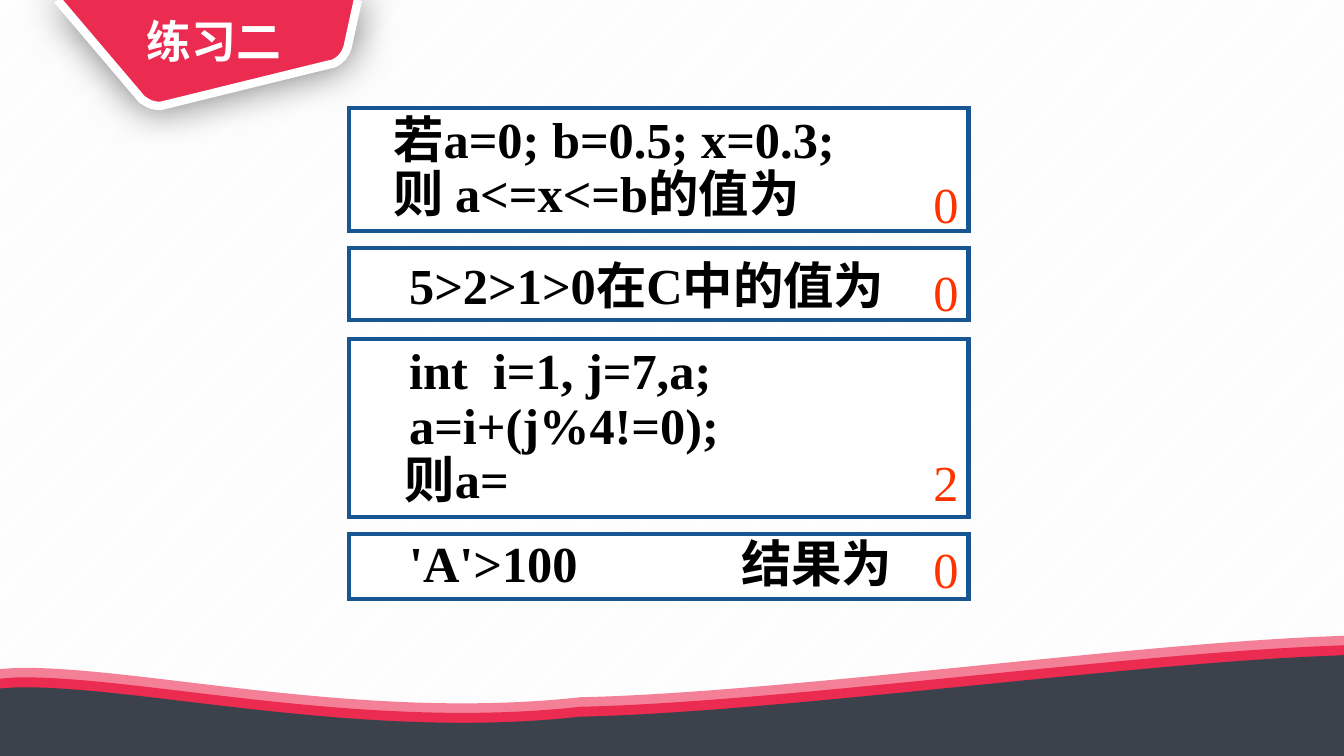
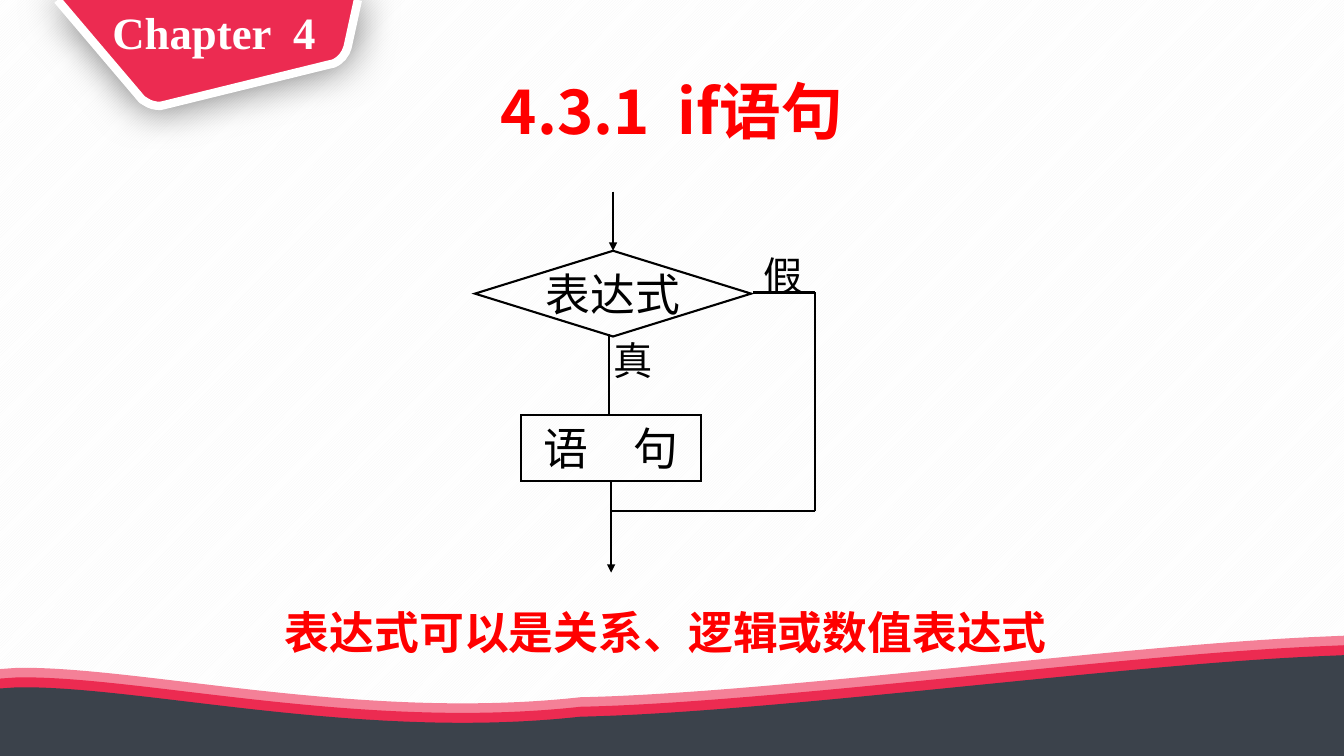
from dataclasses import dataclass
from typing import NamedTuple

from lxml import etree
from pptx import Presentation
from pptx.dml.color import RGBColor
from pptx.enum.dml import MSO_PATTERN
from pptx.enum.shapes import MSO_CONNECTOR, MSO_SHAPE
from pptx.enum.text import MSO_ANCHOR, PP_ALIGN
from pptx.oxml.ns import qn
from pptx.util import Cm, Pt

HATCH = MSO_PATTERN.LIGHT_UPWARD_DIAGONAL
STRAIGHT = MSO_CONNECTOR.STRAIGHT
RECT, DECISION = MSO_SHAPE.RECTANGLE, MSO_SHAPE.FLOWCHART_DECISION
LEFT, CENTER = PP_ALIGN.LEFT, PP_ALIGN.CENTER
TOP, MIDDLE = MSO_ANCHOR.TOP, MSO_ANCHOR.MIDDLE
SITE_TOP, SITE_BOTTOM = 0, 2


@dataclass(frozen=True)
class Theme:
    white: str = "FFFFFF"
    black: str = "000000"
    hatch: str = "F5F5F5"
    pink: str = "F48097"
    crimson: str = "EC2B51"
    slate: str = "3B424B"
    frame: str = "175593"
    answer: str = "FF3300"
    red: str = "FF0000"
    serif: str = "Times New Roman"
    sans: str = "Arial"
    cjk: str = "Noto Sans CJK SC"
    heading_size: int = 44
    question_size: int = 36
    body_size: int = 32
    label_size: int = 28


T = Theme()


class Box(NamedTuple):
    left: float
    top: float
    width: float
    height: float

    def emu(self) -> list:
        return [Cm(v) for v in self]


@dataclass(frozen=True)
class Style:
    size: int
    color: str = T.black
    bold: bool = False
    font: str = T.serif
    align: int = LEFT
    anchor: int = MIDDLE
    spacing: float = 1.0
    wrap: bool = True
    inset: float = 0.25
    inset_y: float = 0.13


TAG = Style(T.body_size, T.white, True, align=CENTER, spacing=0.9)
HEADING = Style(T.heading_size, T.red, True, T.cjk, CENTER, spacing=0.9)
NOTE = Style(T.body_size, T.red, True, T.sans, anchor=TOP)
ANSWER = Style(T.question_size, T.answer, anchor=TOP, wrap=False)
NODE = Style(T.body_size, align=CENTER, wrap=False, inset_y=0.03)
LABEL = Style(T.label_size, align=CENTER, wrap=False)


@dataclass(frozen=True)
class Question:
    top: float
    height: float
    text: str
    answer: str
    answer_top: float
    indent: float = 1.27
    spacing: float = 0.9
    tab: float = 0


CODE = "    int  i=1, j=7,a;\n    a=i+(j%4!=0);\n    则a="
QUESTIONS = [
    Question(2.72, 3.1, "若a=0; b=0.5; x=0.3;\n则 a<=x<=b的值为", "0", 4.24, indent=0.87),
    Question(6.26, 1.81, "5>2>1>0在C中的值为", "0", 6.44, spacing=1.0),
    Question(8.54, 4.48, CODE, "2", 11.23, indent=0),
    Question(13.45, 1.65, "'A'>100\t结果为", "0", 13.42, tab=8.37),
]

# An outline is a list of steps: one point is a line, three points are a curve.
WAVE = [
    [(33.87, 16.51)], [(33.87, 19.05)], [(0, 19.05)], [(0, 17.35)], [(0.43, 17.32)],
    [(3.53, 17.27), (9.09, 18.67), (14.63, 18.06)],
    [(19.43, 17.96), (28.14, 16.76), (33.17, 16.54)],
]
WAVE_LAYERS = [(T.pink, 0.49), (T.crimson, 0.25), (T.slate, 0)]
TAG_OUTLINE = [
    [(9.02, 0)], [(8.76, 1.19)],
    [(8.71, 1.37), (8.59, 1.52), (8.41, 1.6)],
    [(8.28, 1.63)], [(4.17, 2.64)], [(4.04, 2.67)],
    [(3.91, 2.67), (3.78, 2.64), (3.68, 2.57)],
    [(3.58, 2.51)], [(3.48, 2.39)], [(1.45, 0)],
]


def rgb(color: str) -> RGBColor:
    return RGBColor.from_string(color)


def fill_solid(fill, color: str) -> None:
    fill.solid()
    fill.fore_color.rgb = rgb(color)


def fill_hatch(fill) -> None:
    fill.patterned()
    fill.pattern = HATCH
    fill.fore_color.rgb = rgb(T.hatch)
    fill.back_color.rgb = rgb(T.white)


def set_line(line, color: str, width: float) -> None:
    fill_solid(line.fill, color)
    line.width = Pt(width)


def add_outline(s, steps: list, color: str, rise: float = 0, close: bool = True):
    """Draw the steps as straight segments, then merge each curve's three into one Bézier."""
    points = [(Cm(x), Cm(y - rise)) for step in steps for x, y in step]
    builder = s.shapes.build_freeform(*points[0])
    builder.add_line_segments(points[1:], close=close)
    sp = builder.convert_to_shape()
    segments = iter(list(sp._element.iter(qn("a:lnTo"))))
    for step in steps[1:]:
        group = [next(segments) for _ in step]
        if len(group) == 3:
            curve = etree.Element(qn("a:cubicBezTo"))
            group[0].addprevious(curve)
            for segment in group:
                curve.append(segment[0])
                segment.getparent().remove(segment)
    sp.shadow.inherit = False
    fill_solid(sp.fill, color)
    sp.line.fill.background()
    return sp


def add_glow_shadow(sp) -> None:
    effects = sp._element.spPr.find(qn("a:effectLst"))
    shadow = etree.SubElement(effects, qn("a:outerShdw"), blurRad=str(Pt(29)),
                              dist="0", dir="0", rotWithShape="0")
    color = etree.SubElement(shadow, qn("a:srgbClr"), val=T.black)
    etree.SubElement(color, qn("a:alpha"), val="52000")


def write(sp, text: str, style: Style, tab: float = 0) -> None:
    tf = sp.text_frame
    frame = {"word_wrap": style.wrap, "vertical_anchor": style.anchor,
             "margin_left": Cm(style.inset), "margin_right": Cm(0.25),
             "margin_top": Cm(style.inset_y), "margin_bottom": Cm(style.inset_y)}
    for name, value in frame.items():
        setattr(tf, name, value)
    tf.text = text
    font = {"size": Pt(style.size), "bold": style.bold, "name": style.font}
    for p in tf.paragraphs:
        p.alignment = style.align
        p.line_spacing = style.spacing
        if tab:
            tabs = etree.SubElement(p._p.get_or_add_pPr(), qn("a:tabLst"))
            etree.SubElement(tabs, qn("a:tab"), pos=str(Cm(tab)), algn="l")
        for r in p.runs:
            for name, value in font.items():
                setattr(r.font, name, value)
            r.font.color.rgb = rgb(style.color)
            etree.SubElement(r._r.get_or_add_rPr(), qn("a:ea"), typeface=T.cjk)


def add_text(s, box: Box, text: str, style: Style) -> None:
    write(s.shapes.add_textbox(*box.emu()), text, style)


def add_node(s, kind: int, box: Box, color: str, width: float):
    sp = s.shapes.add_shape(kind, *box.emu())
    sp.shadow.inherit = False
    sp.fill.background()
    set_line(sp.line, color, width)
    etree.SubElement(sp.line._get_or_add_ln(), qn("a:miter"), lim="800000")
    return sp


def add_line(s, start: tuple, end: tuple, arrow: bool = False):
    line = s.shapes.add_connector(STRAIGHT, *[Cm(v) for v in (*start, *end)])
    set_line(line.line, T.black, 1.5)
    if arrow:
        etree.SubElement(line.line._get_or_add_ln(), qn("a:tailEnd"), type="triangle")
    etree.SubElement(line._element.spPr, qn("a:effectLst"))
    return line


def decorate(layout, s) -> None:
    """Build the waves and corner tag on a slide, then move them to its layout."""
    for holder in list(layout.placeholders):
        holder._element.getparent().remove(holder._element)
    parts = [add_outline(s, WAVE, color, rise) for color, rise in WAVE_LAYERS]
    tag = add_outline(s, TAG_OUTLINE, T.crimson, close=False)
    set_line(tag.line, T.white, 6)
    add_glow_shadow(tag)
    for sp in [*parts, tag]:
        layout.shapes._spTree.append(sp._element)


def exercise_slide(s) -> None:
    add_text(s, Box(2.95, 0.05, 4.88, 2.11), "练习二", TAG)
    for q in QUESTIONS:
        sp = add_node(s, RECT, Box(8.79, q.top, 15.62, q.height), T.frame, 3)
        fill_solid(sp.fill, T.white)
        style = Style(T.question_size, bold=True, spacing=q.spacing, inset=0.25 + q.indent)
        write(sp, q.text, style, q.tab)
        add_text(s, Box(23.27, q.answer_top, 1.14, 1.8), q.answer, ANSWER)


def if_slide(s) -> None:
    add_text(s, Box(4.63, 1.83, 24.61, 2.11), "4.3.1  if语句", HEADING)

    test_x, body_x, true_x, bypass_x = 15.45, 15.4, 15.34, 20.55
    false_y, merge_y = 7.37, 12.88
    test_box = Box(test_x - 3.48, 6.32, 6.96, 2.16)
    body_box = Box(body_x - 2.27, 10.46, 4.54, 1.66)
    test = add_node(s, DECISION, test_box, T.black, 1.5)
    fill_hatch(test.fill)
    write(test, "表达式", NODE)
    body = add_node(s, RECT, body_box, T.black, 1.5)
    write(body, "语　句", NODE)

    entry = add_line(s, (test_x, 4.83), (test_x, test_box.top), arrow=True)
    entry.end_connect(test, SITE_TOP)
    add_line(s, (true_x, 8.42), (true_x, 10.42))
    leave = add_line(s, (body_x, 12.12), (body_x, 14.43), arrow=True)
    leave.begin_connect(body, SITE_BOTTOM)
    add_line(s, (18.97, false_y), (bypass_x, false_y))
    add_line(s, (bypass_x, false_y), (bypass_x, merge_y))
    add_line(s, (bypass_x, merge_y), (body_x, merge_y))

    add_text(s, Box(15.21, 8.34, 1.5, 1.45), "真", LABEL)
    add_text(s, Box(18.94, 6.2, 1.6, 1.45), "假", LABEL)
    add_text(s, Box(6.93, 15.12, 19.99, 1.63), "表达式可以是关系、逻辑或数值表达式", NOTE)
    add_text(s, Box(2.08, 0, 6.63, 1.76), "Chapter  4", TAG)


def main() -> None:
    prs = Presentation()
    prs.slide_width, prs.slide_height = Cm(33.87), Cm(19.05)
    fill_hatch(prs.slide_master.background.fill)
    layout = prs.slide_layouts[6]
    exercise, branch = [prs.slides.add_slide(layout) for _ in range(2)]
    decorate(layout, exercise)
    exercise_slide(exercise)
    if_slide(branch)
    prs.save("out.pptx")


if __name__ == "__main__":
    main()
